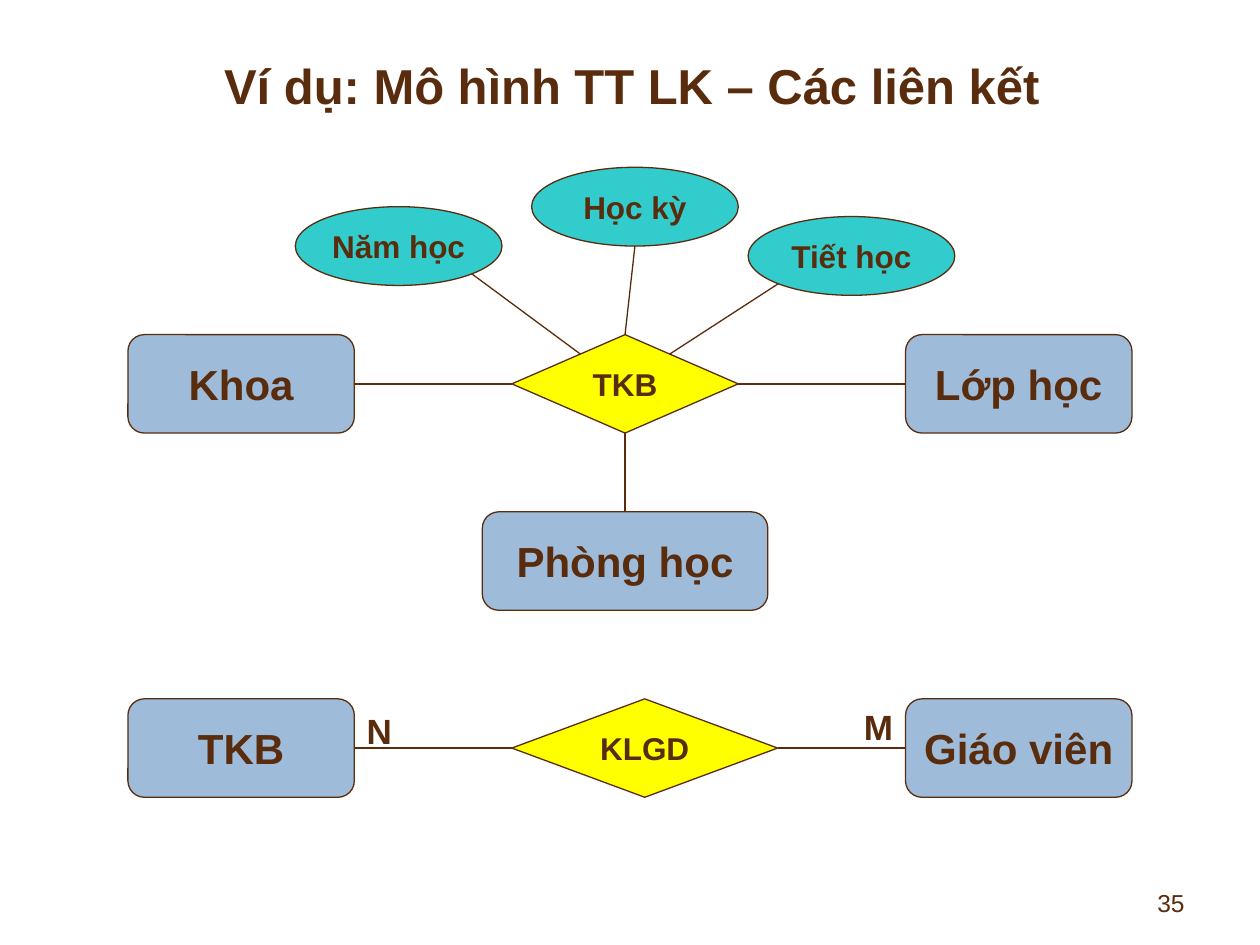
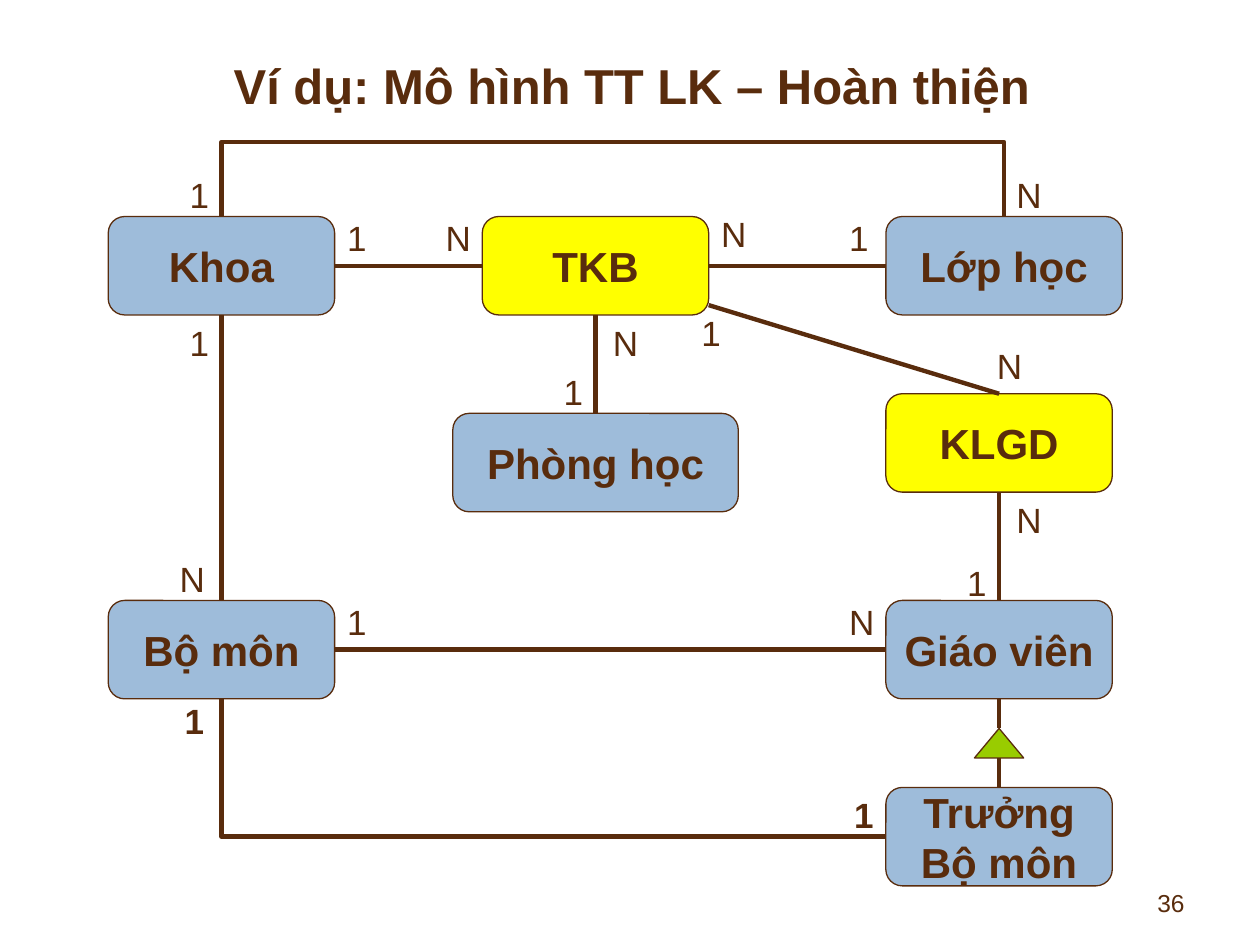
import pptx
import pptx.util
from pptx.dml.color import RGBColor
from pptx.enum.shapes import MSO_CONNECTOR, MSO_SHAPE
from pptx.enum.text import MSO_ANCHOR, MSO_AUTO_SIZE, PP_ALIGN
from pptx.oxml.ns import qn
import lxml.etree

COLORS = {"ink": "592C0D", "entity": "9EBCDA", "relation": "FFFF00",
          "attribute": "33CCCC", "subtype": "99CC00"}
FONT = "Arial"
WIDTH, HEIGHT = pptx.util.Inches(10), pptx.util.Inches(7.5)
UNIT = WIDTH / 128  # the slide is a grid of 128 columns by 96 rows
THIN, THICK = 0.75, 2.5
BOX_W, BOX_H = 23, 10
LABEL_H = 5.6


def grid(*cells):
    return [round(c * UNIT) for c in cells]


def rgb(name):
    return RGBColor.from_string(COLORS[name])


def write(sp, text, size=24, bold=True, align=PP_ALIGN.CENTER,
          anchor=MSO_ANCHOR.MIDDLE, inset=(0.1, 0.05)):
    tf = sp.text_frame
    tf.word_wrap = True
    tf.vertical_anchor = anchor
    tf.margin_left = tf.margin_right = pptx.util.Inches(inset[0])
    tf.margin_top = tf.margin_bottom = pptx.util.Inches(inset[1])
    p = tf.paragraphs[0]
    p.alignment = align
    r = p.add_run()
    r.text = text
    r.font.name, r.font.size, r.font.bold = FONT, pptx.util.Pt(size), bold
    r.font.color.rgb = rgb("ink")


class Region:
    """Draws on a slide, measuring from the left column and top row of a box."""

    def __init__(self, slide, left, top):
        self.shapes, self.left, self.top = slide.shapes, left, top

    def place(self, x, y):
        return grid(self.left + x, self.top + y)

    def shape(self, kind, fill, x, y, w, h):
        sp = self.shapes.add_shape(kind, *self.place(x, y), *grid(w, h))
        sp.shadow.inherit = False
        sp.fill.solid()
        sp.fill.fore_color.rgb = rgb(fill)
        sp.line.color.rgb = rgb("ink")
        sp.line.width = pptx.util.Pt(THIN)
        return sp

    def entity(self, text, x, y, w=BOX_W, fill="entity", **fmt):
        sp = self.shape(MSO_SHAPE.ROUNDED_RECTANGLE, fill, x, y, w, BOX_H)
        write(sp, text, **fmt)
        return sp

    def relation(self, text, x, y, w=BOX_W):
        sp = self.shape(MSO_SHAPE.FLOWCHART_DECISION, "relation", x, y, w, BOX_H)
        write(sp, text, size=18)
        return sp

    def attribute(self, text, x, y):
        sp = self.shape(MSO_SHAPE.OVAL, "attribute", x, y, 21, 8)
        write(sp, text, size=18, inset=(0, 0.04))

    def label(self, text, x, y, w=7, bold=False, align=PP_ALIGN.LEFT):
        sp = self.shapes.add_textbox(*self.place(x, y), *grid(w, LABEL_H))
        write(sp, text, size=20, bold=bold, align=align, anchor=MSO_ANCHOR.TOP)
        sp.text_frame.auto_size = MSO_AUTO_SIZE.SHAPE_TO_FIT_TEXT

    def point(self, end):
        """An end is (shape, side) or a grid point (x, y)."""
        sp, side = end
        if isinstance(sp, (int, float)):
            return self.place(*end)
        across, down = [(0.5, 0), (0, 0.5), (0.5, 1), (1, 0.5)][side]
        return [round(sp.left + across * sp.width), round(sp.top + down * sp.height)]

    def connector(self, kind, start, end, width):
        c = self.shapes.add_connector(kind, *self.point(start), *self.point(end))
        c.line.color.rgb = rgb("ink")
        c.line.width = pptx.util.Pt(width)
        lxml.etree.SubElement(c._element.spPr, qn("a:effectLst"))
        return c

    def link(self, start, end, width=THIN):
        c = self.connector(MSO_CONNECTOR.STRAIGHT, start, end, width)
        for join, (sp, side) in ((c.begin_connect, start), (c.end_connect, end)):
            if not isinstance(sp, (int, float)):
                join(sp, side)

    def elbow(self, start, end, preset, turn, rise=None):
        """A bent line that leaves its start vertically; turn holds rotation and flips."""
        c = self.connector(MSO_CONNECTOR.ELBOW, start, end, THICK)
        (x1, y1), (x2, y2) = self.point(start), self.point(end)
        w, h = max(abs(y2 - y1), 2540), abs(x2 - x1)
        c.left, c.top = (x1 + x2 - w) // 2, (y1 + y2 - h) // 2
        c.width, c.height = w, h
        xfrm = c._element.spPr.find(qn("a:xfrm"))
        for key in ("flipH", "flipV"):
            xfrm.attrib.pop(key, None)
        for key, value in turn.items():
            xfrm.set(key, value)
        geom = c._element.spPr.find(qn("a:prstGeom"))
        geom.set("prst", preset)
        if rise:
            gd = lxml.etree.SubElement(geom.find(qn("a:avLst")), qn("a:gd"))
            gd.set("name", "adj1")
            gd.set("fmla", f"val {round(rise * UNIT / w * 100000)}")


def titled_slide(prs, title, number):
    slide = prs.slides.add_slide(prs.slide_layouts[5])
    sp = slide.shapes.title
    sp.left, sp.top, sp.width, sp.height = [
        pptx.util.Inches(v) for v in (0.5, 0.25, 9.03, 0.84)]
    write(sp, title, size=28)
    sp = slide.shapes.add_textbox(
        *[pptx.util.Inches(v) for v in (7.17, 7, 2.33, 0.35)])
    write(sp, str(number), size=14, bold=False, align=PP_ALIGN.RIGHT,
          anchor=MSO_ANCHOR.TOP)
    return slide


def timetable_relation(box):
    faculty = box.entity("Khoa", 0, 17)
    group = box.entity("Lớp học", 79, 17)
    room = box.entity("Phòng học", 36, 35, w=29)
    timetable = box.relation("TKB", 39, 17)
    box.link((faculty, 3), (timetable, 1))
    box.link((timetable, 3), (group, 1))
    box.link((timetable, 2), (room, 0))
    # Attributes and their lines
    for text, x, y in (("Năm học", 17, 4), ("Học kỳ", 41, 0), ("Tiết học", 63, 5)):
        box.attribute(text, x, y)
    box.link((34.9, 10.8), (46, 19))
    box.link((51.5, 8), (timetable, 0))
    box.link((55, 19), (66.1, 11.8))


def teaching_relation(box):
    timetable = box.entity("TKB", 0, 0)
    teacher = box.entity("Giáo viên", 79, 0)
    load = box.relation("KLGD", 39, 0, w=27)
    box.link((timetable, 3), (load, 1))
    box.link((load, 3), (teacher, 1))
    box.label("N", 23, 0.4, w=10, bold=True)
    box.label("M", 69, 0, w=10, bold=True, align=PP_ALIGN.RIGHT)


def complete_model(box):
    # Entities
    faculty = box.entity("Khoa", 0, 0)
    group = box.entity("Lớp học", 79, 0, w=24)
    room = box.entity("Phòng học", 35, 20, w=29)
    timetable = box.entity("TKB", 38, 0, fill="relation")
    load = box.entity("KLGD", 79, 18, fill="relation")
    department = box.entity("Bộ môn", 0, 39)
    teacher = box.entity("Giáo viên", 79, 39)
    head = box.entity("Trưởng Bộ môn", 79, 58, inset=(0, 0))

    # Straight links
    for start, end in (
            ((faculty, 3), (timetable, 1)), ((timetable, 3), (group, 1)),
            ((timetable, 2), (room, 0)), ((61, 9), (load, 0)),
            ((load, 2), (teacher, 0)), ((faculty, 2), (department, 0)),
            ((department, 3), (teacher, 1))):
        box.link(start, end, THICK)

    # Bent links
    box.elbow((faculty, 0), (91, 0), "bentConnector3",
              {"rot": "5400000", "flipH": "1", "flipV": "1"}, rise=7.65)
    box.elbow((department, 2), (head, 1), "bentConnector2",
              {"rot": "16200000", "flipH": "1"})

    # Subtype triangle between teacher and head
    box.shape(MSO_SHAPE.ISOSCELES_TRIANGLE, "subtype", 88, 52, 5, 3)
    box.link((teacher, 2), (90.5, 52), THICK)
    box.link((90.5, 55), (head, 0), THICK)

    # Cardinalities
    for text, spots in (
            ("1", ((86, 34.4), (7, 10), (7, -5), (45, 15), (23, -0.6),
                   (74, -0.6), (23, 38.4), (59, 9))),
            ("N", ((89, 12.4), (91, 28), (6, 34), (91, -5), (33, -0.6),
                   (61, -1), (50, 10), (74, 38.4)))):
        for x, y in spots:
            box.label(text, x, y)
    for x, y in ((4, 48.4), (72, 58)):
        box.label("1", x, y, bold=True, align=PP_ALIGN.RIGHT)


def main():
    prs = pptx.Presentation()
    prs.slide_width, prs.slide_height = WIDTH, HEIGHT
    slide = titled_slide(prs, "Ví dụ: Mô hình TT LK – Các liên kết", 35)
    timetable_relation(Region(slide, 13, 17))
    teaching_relation(Region(slide, 13, 71))
    slide = titled_slide(prs, "Ví dụ: Mô hình TT LK – Hoàn thiện", 36)
    complete_model(Region(slide, 11, 22))
    prs.save("out.pptx")


if __name__ == "__main__":
    main()
